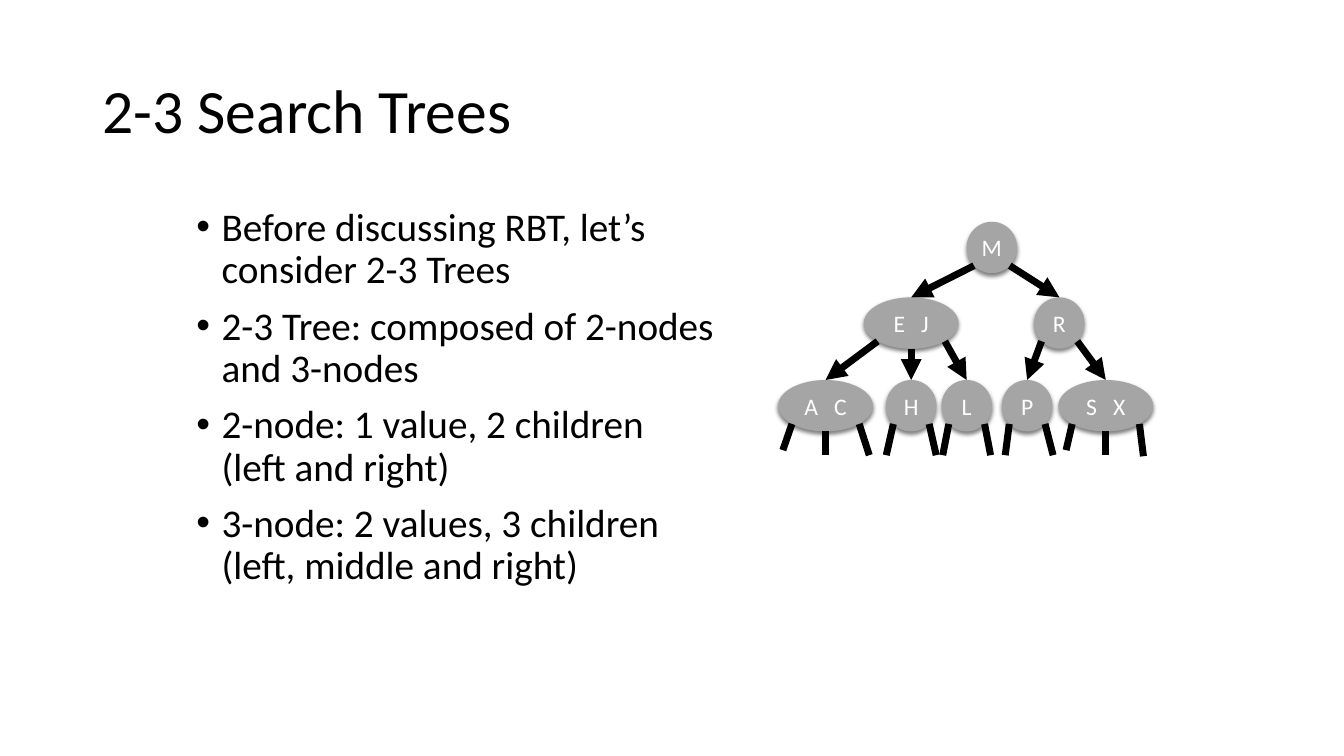
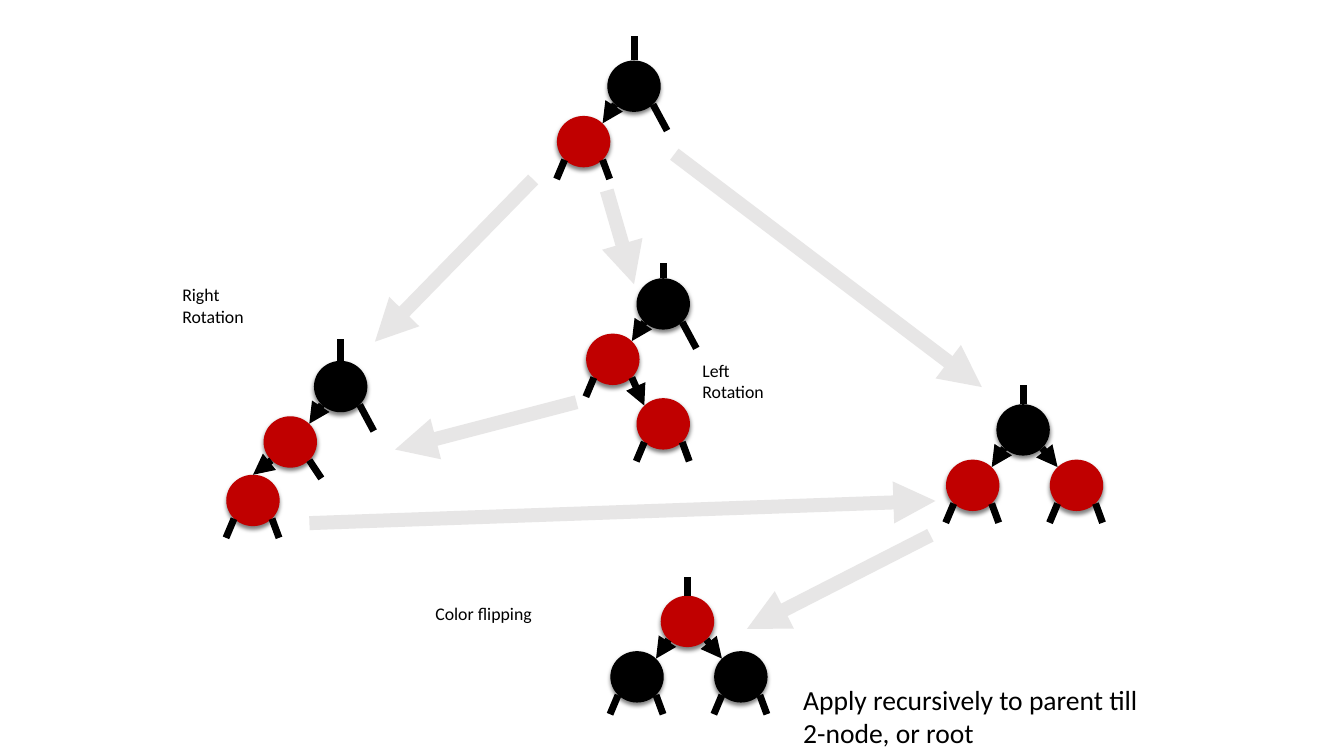
from lxml import etree
from pptx import Presentation
from pptx import util as u
from pptx.dml.color import RGBColor
from pptx.enum import shapes, text
from pptx.oxml.ns import qn

BLACK = RGBColor(0x00, 0x00, 0x00)
WHITE = RGBColor(0xFF, 0xFF, 0xFF)
GRAY = RGBColor(0xA5, 0xA5, 0xA5)
PALE = RGBColor(0xE7, 0xE6, 0xE6)
RED = RGBColor(0xC0, 0x00, 0x00)
CELL = u.Inches(0.1)
COLS, ROWS = 133.33, 75
DIAGONAL = 0.71
SITES = {
    "top": (0, -1), "bottom": (0, 1),
    "left": (-DIAGONAL, DIAGONAL), "right": (DIAGONAL, DIAGONAL),
    "top_left": (-DIAGONAL, -DIAGONAL), "top_right": (DIAGONAL, -DIAGONAL),
}
FORK = {"left": (-0.8, 1.9), "right": (0.7, 1.9)}


def emu(*cells):
    return [round(c * CELL) for c in cells]


class Deck:
    font = "Calibri"
    edge_width = 5
    node_height = 5.1

    def __init__(self):
        self.prs = Presentation()
        self.prs.slide_width, self.prs.slide_height = emu(COLS, ROWS)
        self.s = None

    def new_slide(self):
        self.s = self.prs.slides.add_slide(self.prs.slide_layouts[6])

    def style(self, r, size, color=BLACK):
        r.font.name = self.font
        r.font.size = u.Pt(size)
        r.font.color.rgb = color

    def text(self, box, words, size, wrap=True, anchor=text.MSO_ANCHOR.TOP):
        tf = self.s.shapes.add_textbox(*emu(*box)).text_frame
        tf.word_wrap = wrap
        tf.vertical_anchor = anchor
        tf.text = words
        for p in tf.paragraphs:
            self.style(p.runs[0], size)
        return tf

    def title(self, words):
        tf = self.text((9.2, 4, 115, 14.5), words, 44, anchor=text.MSO_ANCHOR.MIDDLE)
        tf.paragraphs[0].line_spacing = 0.9

    def bullets(self, box, items):
        tf = self.text(box, "\n".join(items), 28)
        for p in tf.paragraphs:
            p.line_spacing = 0.9
            p.space_before = u.Pt(10)
            pPr = p._p.get_or_add_pPr()
            pPr.set("marL", str(u.Inches(0.25)))
            pPr.set("indent", str(-u.Inches(0.25)))
            etree.SubElement(pPr, qn("a:buFont"), typeface="Arial")
            etree.SubElement(pPr, qn("a:buChar"), char="•")

    def node(self, x, y, fill, width=5.3, label=""):
        sp = self.s.shapes.add_shape(
            shapes.MSO_SHAPE.OVAL, *emu(x - width / 2, y, width, self.node_height))
        sp.fill.solid()
        sp.fill.fore_color.rgb = fill
        sp.line.fill.background()
        self.shade(sp)
        if label:
            self.label(sp, label)
        return sp

    def shade(self, sp):
        sp.shadow.inherit = False
        effects = sp._element.spPr.find(qn("a:effectLst"))
        shadow = etree.SubElement(
            effects, qn("a:outerShdw"), blurRad=str(u.Pt(3)), dist=str(u.Pt(2)),
            dir="5400000", rotWithShape="0")
        color = etree.SubElement(shadow, qn("a:srgbClr"), val=str(BLACK))
        etree.SubElement(color, qn("a:alpha"), val="50000")

    def label(self, sp, words):
        tf = sp.text_frame
        tf.margin_left = tf.margin_right = tf.margin_top = tf.margin_bottom = u.Inches(0.04)
        tf.vertical_anchor = text.MSO_ANCHOR.MIDDLE
        tf.word_wrap = False
        p = tf.paragraphs[0]
        p.alignment = text.PP_ALIGN.CENTER
        for part in filter(None, words.partition(" ")):
            r = p.add_run()
            r.text = part
            self.style(r, 16.9, WHITE)
            if part == " ":
                r._r.get_or_add_rPr().set("spc", "760")

    def site(self, sp, name):
        dx, dy = SITES[name]
        return ((sp.left + sp.width * (1 + dx) / 2) / CELL,
                (sp.top + sp.height * (1 + dy) / 2) / CELL)

    def line(self, start, end, color=BLACK, width=edge_width, arrow=False):
        c = self.s.shapes.add_connector(shapes.MSO_CONNECTOR.STRAIGHT, *emu(*start, *end))
        c.line.color.rgb = color
        c.line.width = u.Pt(width)
        if arrow:
            etree.SubElement(c.line._get_or_add_ln(), qn("a:tailEnd"), type="triangle")
        etree.SubElement(c._element.spPr, qn("a:effectLst"))

    def link(self, parent, side, child, end="top"):
        self.line(self.site(parent, side), self.site(child, end), arrow=True)

    def stubs(self, sp, ends):
        for side, (dx, dy) in ends.items():
            x, y = self.site(sp, side)
            self.line((x, y), (x + dx, y + dy))

    def child(self, parent, side, dx, dy, fill, end, ends=FORK):
        x, y = self.site(parent, "top")
        sp = self.node(x + dx, y + dy, fill)
        self.link(parent, side, sp, end)
        self.stubs(sp, ends)
        return sp

    def left_child(self, parent, fill, ends=FORK):
        return self.child(parent, "left", -5, 5.5, fill, "top_right", ends)

    def root(self, x, y, stem, fill=BLACK, ends=None):
        sp = self.node(x, y, fill)
        self.stubs(sp, {"top": (0, -stem), **(ends or {})})
        return sp

    def balanced(self, x, y, root_fill, child_fill):
        top = self.root(x, y, 1.9, root_fill)
        self.left_child(top, child_fill)
        self.child(top, "right", 5.3, 5.5, child_fill, "top_left")


def search_trees(d):
    d.new_slide()
    d.title("2-3 Search Trees")
    d.bullets((18.5, 20.1, 53.5, 51.6), [
        "Before discussing RBT, let’s consider 2-3 Trees",
        "2-3 Tree: composed of 2-nodes and 3-nodes",
        "2-node: 1 value, 2 children (left and right)",
        "3-node: 2 values, 3 children (left, middle and right)",
    ])
    tree = [
        ("M", 98.4, 22, None, None, {}),
        ("E J", 90.4, 29.5, "M", "left", {}),
        ("R", 105.1, 29.5, "M", "right", {}),
        ("A C", 81.9, 37.7, "E J", "left",
         {"left": (-0.9, 2.6), "bottom": (0, 2.3), "right": (1, 3.1)}),
        ("H", 90.4, 37.7, "E J", "bottom", {"left": (-0.7, 3.1), "right": (0.7, 3.1)}),
        ("L", 95.9, 37.7, "E J", "right", {"left": (-0.6, 3.1), "right": (0.6, 3.1)}),
        ("P", 101.9, 37.7, "R", "left", {"left": (-0.4, 3.1), "right": (0.8, 3.1)}),
        ("S X", 109.7, 37.7, "R", "right",
         {"left": (-0.6, 2.6), "bottom": (0, 2.3), "right": (0.4, 3.2)}),
    ]
    nodes = {}
    for label, x, y, parent, side, ends in tree:
        sp = nodes[label] = d.node(x, y, GRAY, 9.4 if " " in label else 5, label)
        if parent:
            d.link(nodes[parent], side, sp)
        d.stubs(sp, ends)


def rotations(d):
    d.new_slide()
    loose = {"right": (1.4, 2.6)}
    d.left_child(d.root(62.9, 6, 2.4, ends=loose), RED)

    zigzag = d.left_child(d.root(65.8, 27.6, 1.5, ends=loose), RED, {"left": FORK["left"]})
    d.child(zigzag, "right", 5, 6.4, RED, "top_left")

    chain = d.left_child(d.root(33.8, 35.8, 2.2, ends=loose), RED, {"right": (1.2, 1.8)})
    d.child(chain, "left", -3.7, 5.8, RED, "top")

    d.balanced(101.5, 40.1, BLACK, RED)
    d.balanced(68.2, 59.1, RED, BLACK)

    for start, end in [
        ((52.9, 17.8), (37.2, 33.9)),
        ((92.3, 53.1), (74.1, 62.4)),
        ((66.9, 15.3), (97.4, 38.4)),
        ((57.2, 39.9), (39.2, 44.6)),
        ((60.2, 18.9), (62.9, 28.2)),
        ((30.7, 51.9), (92.8, 49.7)),
    ]:
        d.line(start, end, PALE, 10, arrow=True)

    for box, words in [
        ((68.7, 35.2, 8.2, 5.3), "Left\nRotation"),
        ((17.1, 27.7, 8.2, 5.3), "Right\nRotation"),
        ((42.2, 59.3, 11.6, 3.1), "Color flipping"),
    ]:
        d.text(box, words, 12.7, wrap=False)
    d.text((78.7, 67.3, 37.4, 7.6), "Apply recursively to parent till 2-node, or root", 19.7)


def main():
    d = Deck()
    search_trees(d)
    rotations(d)
    d.prs.save("out.pptx")


if __name__ == "__main__":
    main()
